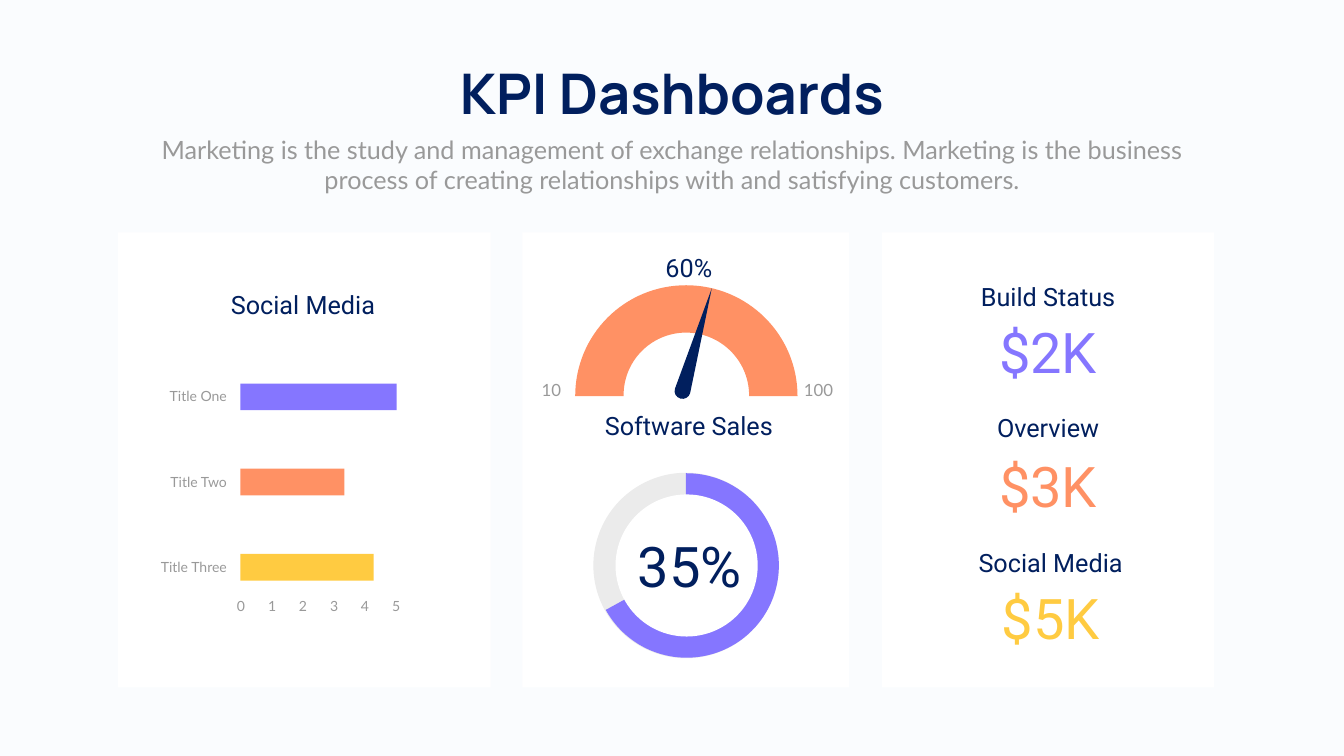
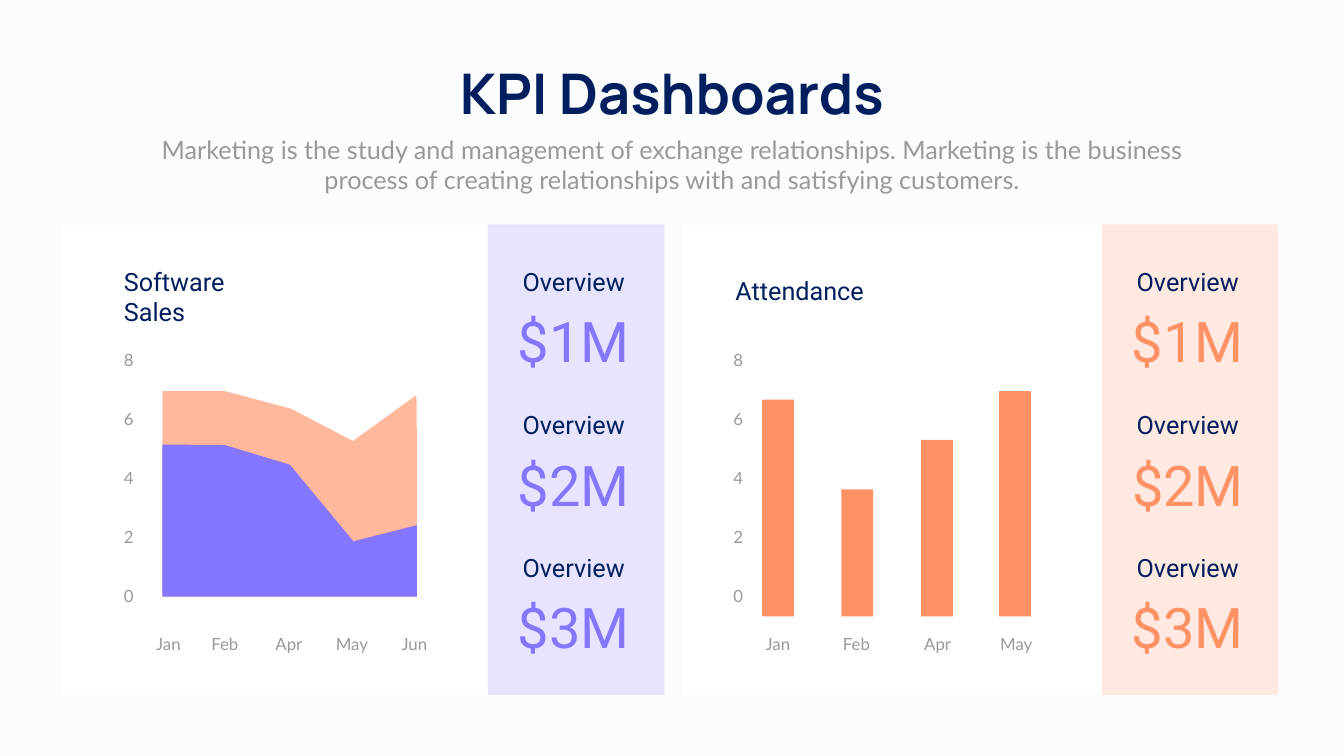
from lxml import etree
from pptx import Presentation
from pptx.dml.color import RGBColor
from pptx.enum.shapes import MSO_SHAPE
from pptx.enum.text import MSO_ANCHOR, MSO_AUTO_SIZE, PP_ALIGN
from pptx.oxml.ns import qn
from pptx.util import Pt

PX = 9144  # EMU per px, 100 px to the inch
TITLE_ONLY = 5
RECT, OVAL, PIE = MSO_SHAPE.RECTANGLE, MSO_SHAPE.OVAL, MSO_SHAPE.PIE
LEFT, CENTER, RIGHT = PP_ALIGN.LEFT, PP_ALIGN.CENTER, PP_ALIGN.RIGHT
TOP = MSO_ANCHOR.TOP
GROW = MSO_AUTO_SIZE.SHAPE_TO_FIT_TEXT

PAPER, WHITE, NAVY, GREY, TRACK = "FAFCFE", "FFFFFF", "011F5E", "999999", "EBEBEB"
PURPLE, ORANGE, YELLOW = "8576FF", "FF9164", "FFCB41"
LILAC, PEACH = "E7E4FF", "FFE9E0"

TITLE = {"name": "Manrope", "size": Pt(80), "bold": True}
HEADING = {"name": "Roboto", "size": Pt(36)}
FIGURE = {"name": "Roboto", "size": Pt(80)}
BODY = {"name": "Lato", "size": Pt(36)}
AXIS = {"name": "Lato", "size": Pt(24)}
SMALL = {"name": "Lato", "size": Pt(20)}

SUBTITLE = ("Marketing is the study and management of exchange relationships. "
            "Marketing is the business process of creating relationships with "
            "and satisfying customers.")


def rgb(color):
    return RGBColor.from_string(color)


def fill_text(s, text, font, color, align=CENTER, wrap=True, spacing=None):
    tf = s.text_frame
    tf.text = text
    for key, value in {"word_wrap": wrap, "auto_size": GROW, "vertical_anchor": TOP}.items():
        setattr(tf, key, value)
    for p in tf.paragraphs:
        p.alignment = align
        if spacing:
            p.line_spacing = spacing
        for r in p.runs:
            for key, value in font.items():
                setattr(r.font, key, value)
            r.font.color.rgb = rgb(color)


def add_text(slide, x, y, w, h, text, font, color, **options):
    s = slide.shapes.add_textbox(x * PX, y * PX, w * PX, h * PX)
    fill_text(s, text, font, color, **options)


def paint(s, color, opacity=100):
    s.shadow.inherit = False
    s.fill.solid()
    s.fill.fore_color.rgb = rgb(color)
    s.line.fill.background()
    if opacity < 100:
        clr = s.element.spPr.find(".//" + qn("a:srgbClr"))
        etree.SubElement(clr, qn("a:alpha"), val=str(opacity * 1000))


def add_shape(slide, kind, x, y, w, h, color):
    s = slide.shapes.add_shape(kind, x * PX, y * PX, w * PX, h * PX)
    paint(s, color)
    return s


def add_outline(slide, start, segments, color, opacity=100):
    """Each segment is one point for a line, or three for a Bézier curve."""
    builder = slide.shapes.build_freeform(*start, scale=PX)
    builder.add_line_segments([point for segment in segments for point in segment], close=True)
    s = builder.convert_to_shape()
    lines = iter(list(s.element.iter(qn("a:lnTo"))))
    for segment in segments:
        parts = [next(lines) for _ in segment]
        if len(parts) == 3:
            curve = etree.Element(qn("a:cubicBezTo"))
            parts[0].addprevious(curve)
            for part in parts:
                curve.append(part[0])
                part.getparent().remove(part)
    paint(s, color, opacity)


def add_titled_slide(prs):
    slide = prs.slides.add_slide(prs.slide_layouts[TITLE_ONLY])
    s = slide.shapes.title
    place = {"left": 867, "top": 112, "width": 932, "height": 145}
    for key, value in place.items():
        setattr(s, key, value * PX)
    fill_text(s, "KPI Dashboards", TITLE, NAVY, wrap=False, spacing=1.0)
    add_text(slide, 292, 261, 2082, 131, SUBTITLE, BODY, GREY)
    return slide


def add_kpi(slide, cx, y, label, value, color, gap, width):
    """A label centred on cx, with its figure starting gap below the label's top."""
    add_text(slide, cx - 166, y, 332, 71, label, HEADING, NAVY)
    add_text(slide, cx - width // 2, y + gap, width, 145, value, FIGURE, color, wrap=False)


def add_bar_panel(slide):
    add_shape(slide, RECT, 234, 461, 739, 903, WHITE)
    add_text(slide, 321, 569, 560, 71, "Social Media", HEADING, NAVY)
    bars = [("Title One", 310, PURPLE), ("Title Two", 206, ORANGE), ("Title Three", 264, YELLOW)]
    for i, (label, length, color) in enumerate(bars):
        add_shape(slide, RECT, 477, 761 + 169 * i, length, 53, color)
        add_text(slide, 304, 764 + 170 * i, 156, 44, label, SMALL, GREY, align=RIGHT)
    for tick in range(6):
        add_text(slide, round(447 + 61.6 * tick), 1180, 62, 44, str(tick), SMALL, GREY)


def add_gauge(slide):
    ring = [[(1582, 664), (1483, 566), (1361, 566)],
            [(1239, 566), (1141, 664), (1141, 786)],
            [(1237, 786)],
            [(1236, 717), (1291, 661), (1359, 660)],
            [(1428, 659), (1485, 714), (1486, 783)],
            [(1486, 786)]]
    add_outline(slide, (1582, 786), ring, ORANGE)
    needle = [[(1341, 788), (1336, 780), (1339, 771)],
              [(1412, 572)],
              [(1369, 780)],
              [(1367, 788), (1358, 793), (1350, 791)]]
    add_outline(slide, (1350, 791), needle, NAVY)
    for x, w, text, align in [(1042, 81, "10", RIGHT), (1585, 104, "100", LEFT)]:
        add_text(slide, x, 731, w, 70, text, AXIS, GREY, align=align, spacing=Pt(40.8))
    for y, text in [(810, "Software Sales"), (495, "60%")]:
        add_text(slide, 1043, y, 647, 82, text, HEADING, NAVY)


def add_progress_ring(slide):
    add_shape(slide, OVAL, 1177, 938, 368, 368, TRACK)
    s = add_shape(slide, PIE, 1179, 939, 366, 366, PURPLE)
    for i, degrees in enumerate((269.5, 151.2)):
        s.adjustments[i] = degrees * 0.6  # 60000 units a degree, over 100000
    add_shape(slide, OVAL, 1221, 981, 282, 282, WHITE)


def add_status_panel(slide):
    add_shape(slide, RECT, 1750, 461, 658, 903, WHITE)
    kpis = [(2079, 553, "Build Status", "$2K", PURPLE, 72),
            (2079, 814, "Overview", "$3K", ORANGE, 76),
            (2084, 1080, "Social Media", "$5K", YELLOW, 72)]
    for kpi in kpis:
        add_kpi(slide, *kpi, 222)


def add_overview_band(slide, x, tint, color):
    add_shape(slide, RECT, x, 445, 350, 934, tint)
    for y, value, width in [(523, "$1M", 248), (808, "$2M", 257), (1090, "$3M", 248)]:
        add_kpi(slide, x + 170, y, "Overview", value, color, 80, width)


def add_axes(slide, scale_x, months):
    for i, value in enumerate((8, 6, 4, 2, 0)):
        add_text(slide, scale_x, round(689 + 117.25 * i), 90, 50, str(value), AXIS, GREY,
                 align=RIGHT)
    for x, month in months:
        add_text(slide, x, 1252, 138, 50, month, AXIS, GREY)


def add_area_panel(slide):
    add_shape(slide, RECT, 123, 445, 1195, 934, WHITE)
    add_text(slide, 236, 523, 560, 131, "Software\nSales", HEADING, NAVY, align=LEFT)
    add_overview_band(slide, 968, LILAC, PURPLE)
    add_axes(slide, 185, [(265, "Jan"), (377, "Feb"), (504, "Apr"), (629, "May"), (753, "Jun")])
    floor = [[(827, 1184)], [(322, 1184)]]
    upper = [[(446, 776)], [(577, 811)], [(700, 875)], [(826, 784)],
             [(827, 853), (827, 923), (827, 992)]]
    lower = [[(446, 883)], [(575, 922)], [(701, 1074)], [(827, 1042)]]
    add_outline(slide, (322, 776), upper + floor, ORANGE, opacity=64)
    add_outline(slide, (322, 882), lower + floor, PURPLE)


def add_column_panel(slide):
    add_shape(slide, RECT, 1355, 445, 1178, 934, WHITE)
    add_text(slide, 1449, 542, 291, 71, "Attendance", HEADING, NAVY, align=LEFT)
    add_overview_band(slide, 2186, PEACH, ORANGE)
    for x, height in [(1512, 430), (1669, 252), (1827, 350), (1982, 447)]:
        add_shape(slide, RECT, x, 1223 - height, 63, height, ORANGE)
    add_axes(slide, 1394, [(1474, "Jan"), (1630, "Feb"), (1791, "Apr"), (1947, "May")])


def main():
    prs = Presentation()
    prs.slide_width, prs.slide_height = 2666 * PX, 1500 * PX
    background = prs.slide_master.background.fill
    background.solid()
    background.fore_color.rgb = rgb(PAPER)

    slide = add_titled_slide(prs)
    add_shape(slide, RECT, 1036, 461, 648, 903, WHITE)
    add_progress_ring(slide)
    add_status_panel(slide)
    add_bar_panel(slide)
    add_gauge(slide)
    add_text(slide, 1212, 1049, 312, 145, "35%", FIGURE, NAVY)

    slide = add_titled_slide(prs)
    add_area_panel(slide)
    add_column_panel(slide)

    prs.save("out.pptx")


if __name__ == "__main__":
    main()
